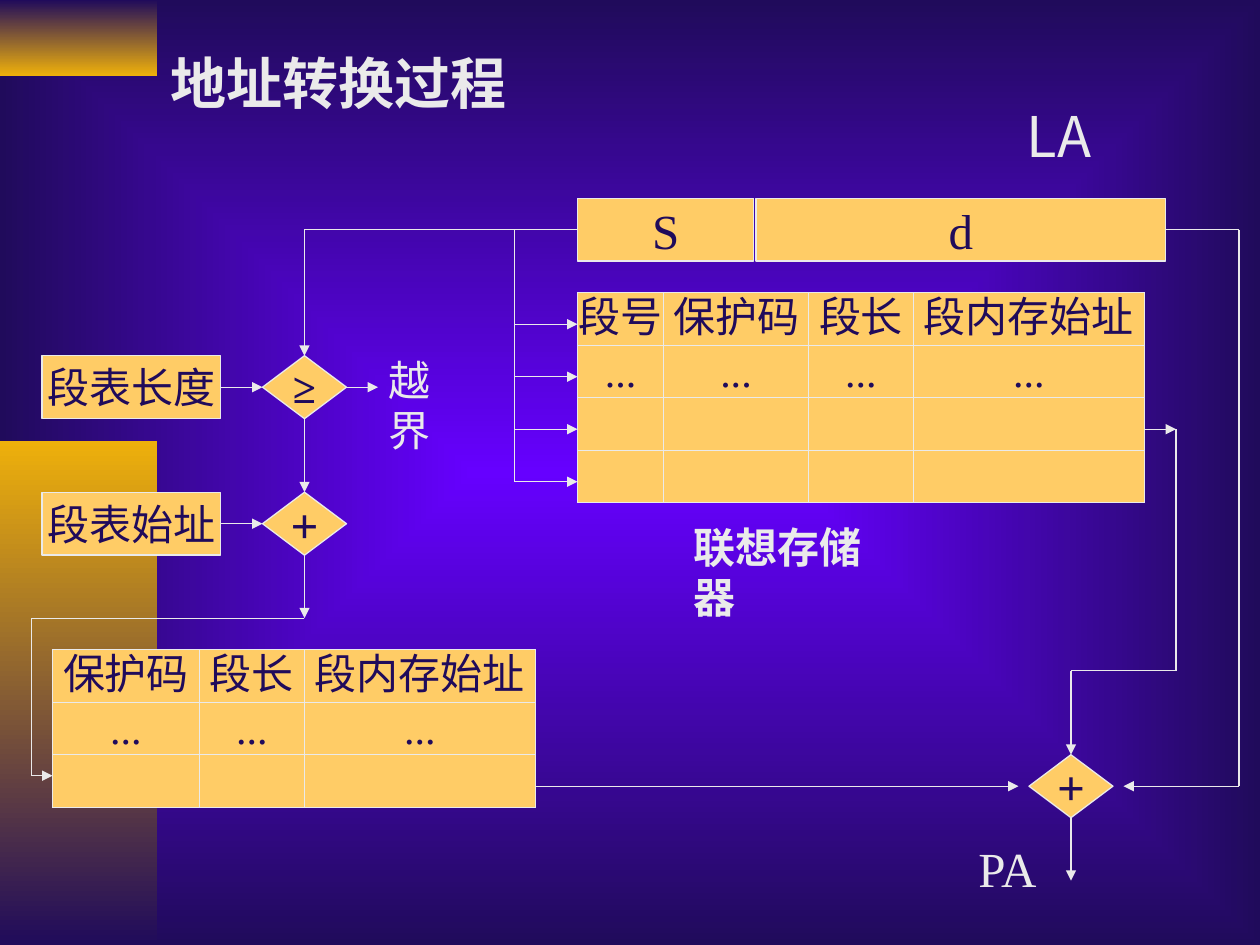
from itertools import pairwise
from typing import NamedTuple

from lxml.etree import SubElement
from pptx import Presentation
from pptx.dml.color import RGBColor
from pptx.enum.shapes import MSO_CONNECTOR, MSO_SHAPE
from pptx.enum.text import MSO_ANCHOR, MSO_AUTO_SIZE, PP_ALIGN
from pptx.oxml import parse_xml
from pptx.oxml.ns import nsdecls, qn
from pptx.util import Inches, Pt

HUE = {"glow": "6600FF", "dark": "200B5B", "gold": "EEB00B",
       "cell": "FFCC66", "pale": "EAEAEA"}
SERIF, SANS = "Times New Roman", "Noto Sans CJK SC"
WIDE, HIGH = Inches(10), Inches(7.5)
STEP = 1 / 12  # grid pitch in inches
RISE = 0.01  # the rows sit this much above the slide's grid


class Box(NamedTuple):
    x: float
    y: float
    w: float
    h: float


class Node(NamedTuple):
    text: str
    box: Box
    size: int = 24
    kind: MSO_SHAPE = MSO_SHAPE.RECTANGLE


class Label(NamedTuple):
    text: str
    box: Box
    size: int
    font: str = SERIF
    bold: bool = False


class Grid(NamedTuple):
    x: float
    y: float
    cols: list[float]
    heads: list[str]
    rows: int


class Route(NamedTuple):
    points: list[tuple[float, float]]
    arrow: bool = True
    width: float = 0.75


DIAMOND = MSO_SHAPE.DIAMOND
NODES = [
    Node("S", Box(55, 19, 16.8, 6), 28),
    Node("d", Box(72, 19, 39, 6), 28),
    Node("段表始址", Box(4, 47, 17, 6)),
    Node("段表长度", Box(4, 34, 17, 6)),
    Node("≥", Box(25, 34, 8, 6), 24, DIAMOND),
    Node("+", Box(25, 47, 8, 6), 28, DIAMOND),
    Node("+", Box(98, 72, 8, 6), 28, DIAMOND),
]
LABELS = [
    Label("PA", Box(92, 79.4, 8.3, 6.8), 28),
    Label("越界", Box(35.8, 33.3, 10.3, 6), 24),
    Label("LA", Box(96.6, 9.2, 8.6, 7.7), 32, SANS),
    Label("联想存储器", Box(64.9, 49.2, 22.3, 6), 24, bold=True),
]
TITLE = Label("地址转换过程", Box(15, 4.1, 38.4, 7.7), 32, SANS, True)
GRIDS = [
    Grid(55, 28, [8.2, 13.8, 10, 22], ["段号", "保护码", "段长", "段内存始址"], 4),
    Grid(5, 62, [14, 10, 22], ["保护码", "段长", "段内存始址"], 3),
]
ROUTES = [
    Route([(55, 22), (29, 22), (29, 34)]),
    Route([(21, 37), (25, 37)]),
    Route([(33, 37), (36, 37)]),
    Route([(29, 40), (29, 47)]),
    Route([(21, 50), (25, 50)]),
    Route([(29, 53), (29, 59)]),
    Route([(29, 59), (3, 59), (3, 74), (5, 74)]),
    Route([(49, 22), (49, 46)], arrow=False),
    *[Route([(49, y), (55, y)]) for y in range(31, 47, 5)],
    Route([(109, 41), (112, 41)]),
    Route([(112, 41), (112, 64), (102, 64), (102, 72)]),
    Route([(51, 75), (97, 75)]),
    Route([(111, 22), (118, 22), (118, 75), (107, 75)]),
    Route([(102, 78), (102, 84)], width=1.5),
]


def hue(name: str) -> RGBColor:
    return RGBColor.from_string(HUE[name])


def col(n: float) -> int:
    return Inches(n * STEP)


def row(n: float) -> int:
    return Inches(n * STEP - RISE)


def place(box: Box) -> tuple[int, int, int, int]:
    return col(box.x), row(box.y), col(box.w), col(box.h)


def blend(fill, first: str, last: str) -> None:
    """Fill from top to bottom with two colours."""
    fill.gradient()
    fill.gradient_angle = 270
    for stop, name in zip(fill.gradient_stops, (first, last)):
        stop.color.rgb = hue(name)


def write(para, text: str, size: int, color: str, font: str = SERIF,
          bold: bool = False) -> None:
    run = para.add_run()
    run.text = text
    run.font.name, run.font.size, run.font.bold = font, Pt(size), bold
    run.font.color.rgb = hue(color)
    SubElement(run.font._element, qn("a:ea"), typeface=SANS)


def draw_back(slide) -> None:
    blend(slide.background.fill, "glow", "dark")
    line = next(slide.element.iter(qn("a:lin")))
    line.getparent().replace(line, parse_xml(
        f'<a:path {nsdecls("a")} path="rect"><a:fillToRect l="50000" t="50000"'
        ' r="50000" b="50000"/></a:path>'))


def draw_band(slide, top: float, tall: float, first: str, last: str) -> None:
    band = slide.shapes.add_shape(MSO_SHAPE.RECTANGLE, 0, int(HIGH * top),
                                  WIDE // 8, int(HIGH * tall))
    band.shadow.inherit = False
    band.line.fill.background()
    blend(band.fill, first, last)


def draw_node(slide, node: Node) -> None:
    shape = slide.shapes.add_shape(node.kind, *place(node.box))
    shape.shadow.inherit = False
    shape.fill.solid()
    shape.fill.fore_color.rgb = hue("cell")
    shape.line.color.rgb = hue("pale")
    shape.line.width = Pt(0.75)
    frame = shape.text_frame
    frame.word_wrap = False
    frame.vertical_anchor = MSO_ANCHOR.MIDDLE
    para = frame.paragraphs[0]
    para.alignment = PP_ALIGN.CENTER
    write(para, node.text, node.size, "dark", bold=node.kind == DIAMOND)


def draw_label(slide, label: Label) -> None:
    frame = slide.shapes.add_textbox(*place(label.box)).text_frame
    frame.word_wrap = False
    frame.auto_size = MSO_AUTO_SIZE.SHAPE_TO_FIT_TEXT
    write(frame.paragraphs[0], label.text, label.size, "pale", label.font, label.bold)


def draw_title(slide, label: Label) -> None:
    title = slide.shapes.title
    title.left, title.top, title.width, title.height = place(label.box)
    frame = title.text_frame
    frame.auto_size = MSO_AUTO_SIZE.NONE
    frame.vertical_anchor = MSO_ANCHOR.TOP
    para = frame.paragraphs[0]
    para.alignment = PP_ALIGN.LEFT
    write(para, label.text, label.size, "pale", label.font, label.bold)


def style_cell(cell) -> None:
    cell.margin_left = cell.margin_right = cell.margin_top = cell.margin_bottom = 0
    cell.vertical_anchor = MSO_ANCHOR.MIDDLE
    cell.fill.solid()
    cell.fill.fore_color.rgb = hue("cell")
    props = cell._tc.get_or_add_tcPr()
    for i, side in enumerate("LRTB"):
        props.insert(i, parse_xml(
            f'<a:ln{side} {nsdecls("a")} w="9525"><a:solidFill>'
            f'<a:srgbClr val="{HUE["pale"]}"/></a:solidFill></a:ln{side}>'))


def draw_grid(slide, grid: Grid) -> None:
    tall = 5
    box = Box(grid.x, grid.y, sum(grid.cols), grid.rows * tall)
    table = slide.shapes.add_table(grid.rows, len(grid.cols), *place(box)).table
    table.first_row = table.horz_banding = False
    for line in table.rows:
        line.height = col(tall)
    for i, (wide, head) in enumerate(zip(grid.cols, grid.heads)):
        table.columns[i].width = col(wide)
        for j in range(grid.rows):
            cell = table.cell(j, i)
            style_cell(cell)
            if j < 2:
                para = cell.text_frame.paragraphs[0]
                para.alignment = PP_ALIGN.CENTER
                para.line_spacing = Pt(29)
                write(para, (head, "...")[j], 24, "dark")


def draw_route(slide, route: Route) -> None:
    """Join the points with lines; the last may bear an arrowhead."""
    for (x1, y1), (x2, y2) in pairwise(route.points):
        line = slide.shapes.add_connector(MSO_CONNECTOR.STRAIGHT, col(x1), row(y1),
                                          col(x2), row(y2))
        line.line.color.rgb = hue("pale")
        line.line.width = Pt(route.width)
        props = line.element.spPr
        SubElement(props, qn("a:effectLst"))
    if route.arrow:
        SubElement(props.find(qn("a:ln")), qn("a:tailEnd"), type="triangle")


def main() -> None:
    deck = Presentation()
    deck.slide_width, deck.slide_height = WIDE, HIGH
    slide = deck.slides.add_slide(deck.slide_layouts[5])
    draw_back(slide)
    draw_band(slide, 0, 0.08, "dark", "gold")
    draw_band(slide, 7 / 15, 8 / 15, "gold", "dark")
    draw_title(slide, TITLE)
    for draw, items in ((draw_grid, GRIDS), (draw_node, NODES),
                        (draw_route, ROUTES), (draw_label, LABELS)):
        for item in items:
            draw(slide, item)
    deck.save("out.pptx")


if __name__ == "__main__":
    main()
